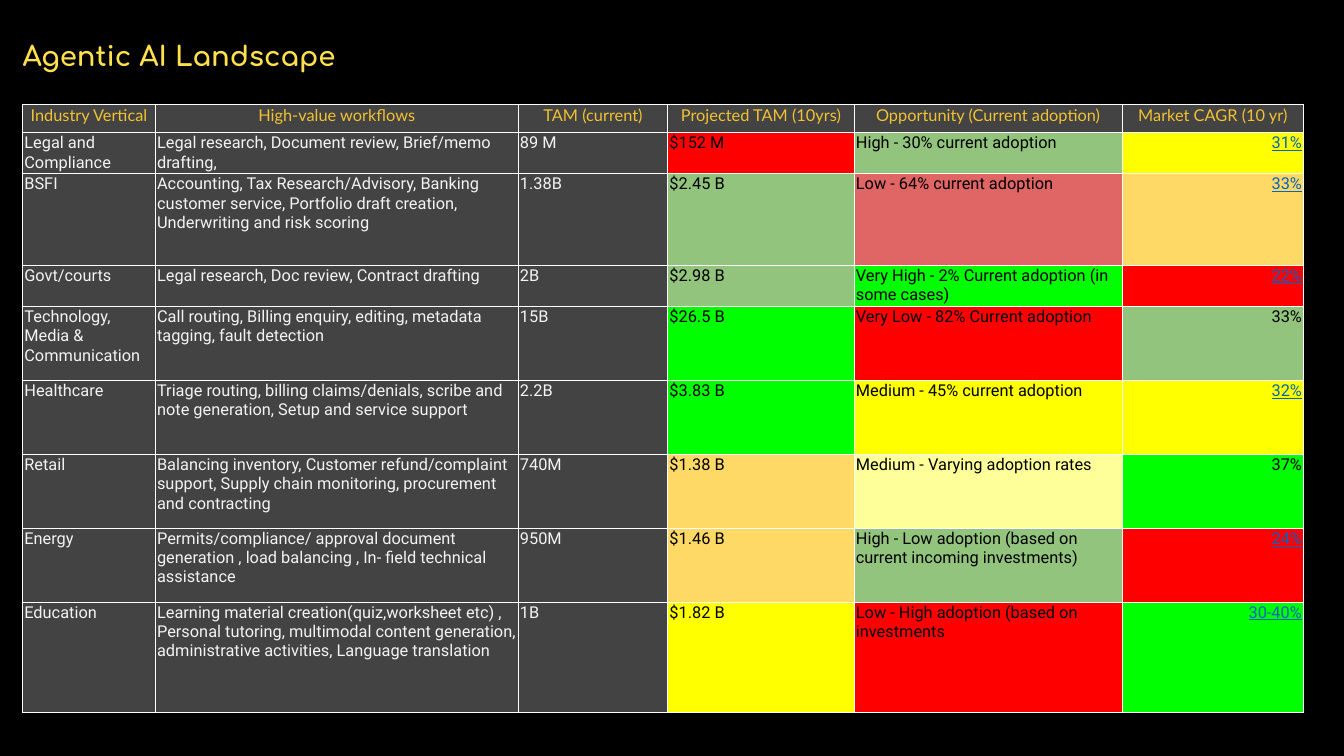
from dataclasses import dataclass
from lxml.etree import SubElement
from pptx import Presentation
from pptx.dml.color import RGBColor
from pptx.enum.text import MSO_ANCHOR, MSO_AUTO_SIZE, PP_ALIGN
from pptx.oxml.ns import qn
from pptx.util import Inches, Pt


@dataclass(frozen=True)
class Theme:
    back: str = "000000"
    title: str = "FFE14D"
    head: str = "F1C232"
    light: str = "F3F3F3"
    dark: str = "000000"
    link: str = "0563C1"
    rule: str = "FFFFFF"
    gray: str = "434343"
    red: str = "FF0000"
    rose: str = "E06666"
    sage: str = "93C47D"
    lime: str = "00FF00"
    yellow: str = "FFFF00"
    cream: str = "FFFF99"
    gold: str = "FFD966"
    big: float = 23.5
    small: float = 14


T = Theme()


def write(para, text, font, size, color, align=PP_ALIGN.LEFT):
    para.alignment = align
    run = para.add_run()
    run.text = text
    run.font.name = font
    run.font.size = Pt(size)
    run.font.color.rgb = RGBColor.from_string(color)
    return run


def dress(cell, fill):
    """Fill a cell, set its margins and rule its four sides."""
    cell.margin_left = cell.margin_right = Inches(0.02)
    cell.margin_top = cell.margin_bottom = Inches(0.01)
    props = cell._tc.get_or_add_tcPr()
    for side in ("a:lnL", "a:lnR", "a:lnT", "a:lnB"):
        line = SubElement(props, qn(side), w=str(Pt(1)))
        paint = SubElement(line, qn("a:solidFill"))
        SubElement(paint, qn("a:srgbClr"), val=T.rule)
    cell.fill.solid()
    cell.fill.fore_color.rgb = RGBColor.from_string(fill)


deck = Presentation()
deck.slide_width, deck.slide_height = Inches(16), Inches(9)
slide = deck.slides.add_slide(deck.slide_layouts[5])
slide.background.fill.solid()
slide.background.fill.fore_color.rgb = RGBColor.from_string(T.back)
left = Inches(0.27)

# Title
title = slide.shapes.title
title.left, title.top = left, Inches(0.45)
title.width, title.height = Inches(3.73), Inches(0.41)
frame = title.text_frame
frame.margin_left = frame.margin_right = 0
frame.margin_top = frame.margin_bottom = 0
frame.word_wrap = False
frame.auto_size = MSO_AUTO_SIZE.NONE
frame.vertical_anchor = MSO_ANCHOR.TOP
para = frame.paragraphs[0]
para.line_spacing = Pt(29)
write(para, "Agentic AI Landscape", "Comfortaa", T.big, T.title).font.bold = True

# Table content: six texts, then the fills of the last three columns
heads = ("Industry Vertical", "High-value workflows", "TAM (current)",
         "Projected TAM (10yrs)", "Opportunity (Current adoption)",
         "Market CAGR (10 yr)")
rows = [
    (("Legal and Compliance",
      "Legal research, Document review, Brief/memo drafting,",
      "89 M", "$152 M", "High - 30% current adoption", "31%"),
     (T.red, T.sage, T.yellow)),
    (("BSFI",
      "Accounting, Tax Research/Advisory, Banking customer service, "
      "Portfolio draft creation, Underwriting and risk scoring",
      "1.38B", "$2.45 B", "Low - 64% current adoption", "33%"),
     (T.sage, T.rose, T.gold)),
    (("Govt/courts",
      "Legal research, Doc review, Contract drafting",
      "2B", "$2.98 B", "Very High - 2% Current adoption (in some cases)", "22%"),
     (T.sage, T.lime, T.red)),
    (("Technology, Media & Communication",
      "Call routing, Billing enquiry, editing, metadata tagging, fault detection",
      "15B", "$26.5 B", "Very Low - 82% Current adoption", "33%"),
     (T.lime, T.red, T.sage)),
    (("Healthcare",
      "Triage routing, billing claims/denials, scribe and note generation, "
      "Setup and service support",
      "2.2B", "$3.83 B", "Medium - 45% current adoption", "32%"),
     (T.lime, T.yellow, T.yellow)),
    (("Retail",
      "Balancing inventory, Customer refund/complaint support, "
      "Supply chain monitoring, procurement and contracting",
      "740M", "$1.38 B", "Medium - Varying adoption rates", "37%"),
     (T.gold, T.cream, T.lime)),
    (("Energy",
      "Permits/compliance/ approval document generation , load balancing , "
      "In- field technical assistance",
      "950M", "$1.46 B",
      "High - Low adoption (based on current incoming investments)", "24%"),
     (T.gold, T.sage, T.red)),
    (("Education",
      "Learning material creation(quiz,worksheet etc) , Personal tutoring, "
      "multimodal content generation, administrative activities, "
      "Language translation",
      "1B", "$1.82 B", "Low - High adoption (based on investments", "30-40%"),
     (T.yellow, T.red, T.lime)),
]
plain = ("Technology, Media & Communication", "Retail")

# Table grid
wide = (1.58, 4.32, 1.78, 2.22, 3.19, 2.16)
high = (0.34, 0.49, 1.09, 0.49, *[0.88] * 4, 1.31)
table = slide.shapes.add_table(len(high), len(wide), left, Inches(1.24),
                               Inches(sum(wide)), Inches(sum(high))).table
table.first_row = table.horz_banding = False
for col, size in zip(table.columns, wide):
    col.width = Inches(size)
for row, size in zip(table.rows, high):
    row.height = Inches(size)

# Header row
for c, text in enumerate(heads):
    cell = table.cell(0, c)
    dress(cell, T.gray)
    write(cell.text_frame.paragraphs[0], text, "Lato", T.small, T.head,
          PP_ALIGN.CENTER)

# Body rows: gray facts, then coloured ratings with the growth rate at right
for r, (texts, fills) in enumerate(rows, 1):
    for c, (text, fill) in enumerate(zip(texts, (T.gray,) * 3 + fills)):
        cell = table.cell(r, c)
        dress(cell, fill)
        last = c == len(wide) - 1
        linked = last and texts[0] not in plain
        color = T.link if linked else T.light if c < 3 else T.dark
        run = write(cell.text_frame.paragraphs[0], text, "Roboto", T.small,
                    color, PP_ALIGN.RIGHT if last else PP_ALIGN.LEFT)
        if linked:
            run.font.underline = True

deck.save("out.pptx")
